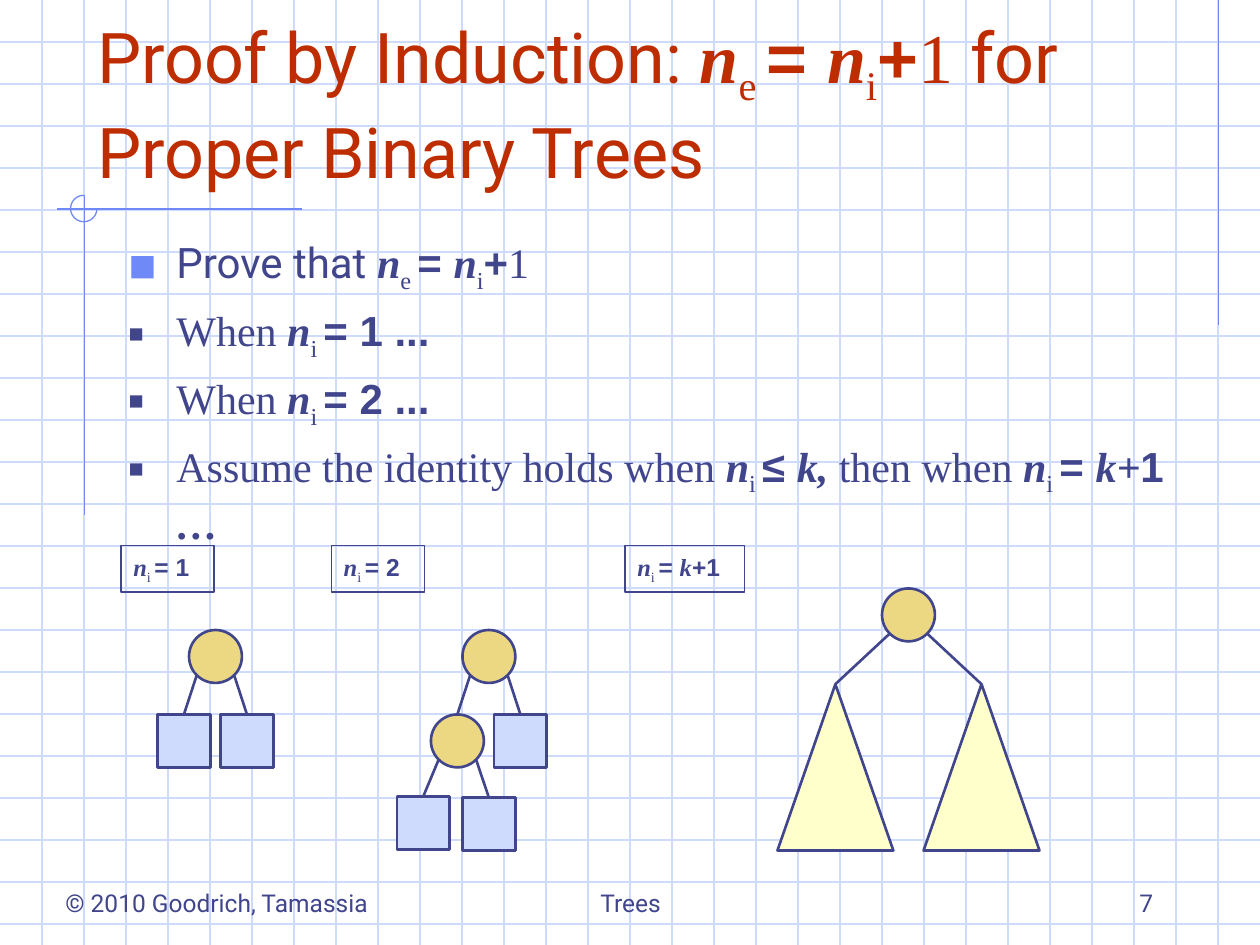
from dataclasses import dataclass
from enum import Enum
from math import sqrt

from lxml.etree import SubElement
from pptx import Presentation
from pptx.dml.color import RGBColor
from pptx.enum.shapes import MSO_CONNECTOR, MSO_SHAPE
from pptx.enum.text import MSO_ANCHOR, MSO_AUTO_SIZE, PP_ALIGN
from pptx.oxml.ns import qn
from pptx.util import Inches, Pt

COLORS = {
    "ink": "40458C", "title": "BE2D00", "grid": "CFDBFD", "accent": "6F89F7",
    "inner": "ECD882", "leaf": "CFDBFD", "subtree": "FFFFCC",
}
NODE = 0.42
SUBTREE_WIDTH, SUBTREE_HEIGHT = 0.92, 1.32


class Style(Enum):
    """Font name, bold, italic, baseline shift in percent."""
    SANS = ("Roboto", False, False, 0)
    SERIF = ("Times New Roman", False, False, 0)
    VARIABLE = ("Times New Roman", True, True, 0)
    INDEX = ("Times New Roman", False, False, -25)
    SYMBOL = ("Arial", True, False, 0)


@dataclass(frozen=True)
class Span:
    text: str
    style: Style


@dataclass(frozen=True)
class Node:
    kind: str
    left: float
    top: float
    children: tuple = ()


@dataclass(frozen=True)
class Label:
    left: float
    width: float
    spans: tuple


@dataclass(frozen=True)
class Footer:
    text: str
    left: float
    width: float
    align: PP_ALIGN


def color(name: str) -> RGBColor:
    return RGBColor.from_string(COLORS[name])


def sized(spans: str, *styles: Style) -> tuple:
    """Pair the parts of a text, split at |, with their styles."""
    return tuple(Span(text, style) for text, style in zip(spans.split("|"), styles))


SANS, SERIF, VAR, INDEX, SYMBOL = Style
IDENTITY = sized("n|e |= |n|i|+", VAR, INDEX, SYMBOL, VAR, INDEX, SYMBOL)
COUNT = sized("n|i ", VAR, INDEX)

TITLE = (Span("Proof by Induction: ", SANS), *IDENTITY,
         Span("1 ", SERIF), Span("for Proper Binary Trees", SANS))
BULLETS = [
    (Span("Prove that ", SANS), *IDENTITY, Span("1", SERIF)),
    (Span("When ", SERIF), *COUNT, Span("= 1 ...", SYMBOL)),
    (Span("When ", SERIF), *COUNT, Span("= 2 ...", SYMBOL)),
    (Span("Assume the identity holds when ", SERIF), *COUNT,
     *sized("≤ |k, |then when ", SYMBOL, VAR, SERIF), *COUNT,
     *sized("= |k+|1 |…", SYMBOL, VAR, SYMBOL, VAR)),
]
LABELS = [
    Label(0.96, 0.74, (*COUNT, Span("= 1", SYMBOL))),
    Label(2.63, 0.74, (*COUNT, Span("= 2", SYMBOL))),
    Label(4.96, 0.95, (*COUNT, *sized("= |k|+1", SYMBOL, VAR, SYMBOL))),
]
TREES = [
    Node("inner", 1.5, 5, (Node("leaf", 1.25, 5.67), Node("leaf", 1.75, 5.67))),
    Node("inner", 3.67, 5, (
        Node("inner", 3.42, 5.67, (Node("leaf", 3.15, 6.32), Node("leaf", 3.67, 6.33))),
        Node("leaf", 3.92, 5.67))),
    Node("inner", 7, 4.67, (Node("subtree", 6.17, 5.43), Node("subtree", 7.33, 5.43))),
]
FOOTERS = [
    Footer("© 2010 Goodrich, Tamassia", 0.42, 2.75, PP_ALIGN.LEFT),
    Footer("Trees", 3.42, 3.17, PP_ALIGN.CENTER),
    Footer("7", 7.17, 2.08, PP_ALIGN.RIGHT),
]
KINDS = {
    "inner": (MSO_SHAPE.OVAL, NODE, NODE),
    "leaf": (MSO_SHAPE.RECTANGLE, NODE, NODE),
    "subtree": (MSO_SHAPE.ISOSCELES_TRIANGLE, SUBTREE_WIDTH, SUBTREE_HEIGHT),
}


def add_spans(para, spans: tuple, size: float, ink: str = "ink") -> None:
    for span in spans:
        run = para.add_run()
        run.text = span.text
        font = run.font
        font.name, font.bold, font.italic, shift = span.style.value
        font.size = Pt(size)
        font.color.rgb = color(ink)
        if shift:
            run._r.get_or_add_rPr().set("baseline", str(shift * 1000))


def add_line(shapes, start: tuple, end: tuple, ink: str, width: float):
    line = shapes.add_connector(MSO_CONNECTOR.STRAIGHT, *map(Inches, start + end))
    line.line.color.rgb = color(ink)
    line.line.width = Pt(width)
    SubElement(line._element.spPr, qn("a:effectLst"))
    return line


def add_outline(shapes, preset, left: float, top: float, width: float, height: float,
                ink: str, weight: float):
    shape = shapes.add_shape(preset, *map(Inches, (left, top, width, height)))
    shape.shadow.inherit = False
    shape.fill.background()
    shape.line.color.rgb = color(ink)
    shape.line.width = Pt(weight)
    return shape


def place(box, left: float, top: float, width: float, height: float, anchor) -> None:
    box.left, box.top, box.width, box.height = map(Inches, (left, top, width, height))
    box.text_frame.word_wrap = True
    box.text_frame.auto_size = MSO_AUTO_SIZE.NONE
    box.text_frame.vertical_anchor = anchor


def add_background(page) -> None:
    shapes = page.shapes.add_group_shape().shapes
    for row in range(1, 23):
        add_line(shapes, (0, row / 3), (10, row / 3), "grid", 0.75)
    for column in range(1, 30):
        add_line(shapes, (column / 3, 0), (column / 3, 7.5), "grid", 0.75)
    for start, end in [((9.67, 0), (9.67, 2.58)), ((2.4, 1.66), (0.45, 1.66)),
                       ((0.67, 1.55), (0.67, 4.09))]:
        add_line(shapes, start, end, "accent", 0.75)
    arc = add_outline(shapes, MSO_SHAPE.ARC, 0.56, 1.55, 0.21, 0.21, "accent", 0.75)
    arc.adjustments[0], arc.adjustments[1] = 0, 162  # 0 to 270 degrees


def add_bullet(para, ink: str, percent: int) -> None:
    para.level = 1
    para.space_before = Pt(6)
    properties = para._p.get_or_add_pPr()
    properties.set("marL", str(Inches(0.38)))
    properties.set("indent", str(-Inches(0.38)))
    SubElement(SubElement(properties, qn("a:buClr")), qn("a:srgbClr"), val=COLORS[ink])
    SubElement(properties, qn("a:buSzPct"), val=str(percent * 1000))
    SubElement(properties, qn("a:buFont"), typeface="Arial")
    SubElement(properties, qn("a:buChar"), char="■")


def add_tree(page, node: Node):
    preset, width, height = KINDS[node.kind]
    shape = add_outline(page.shapes, preset, node.left, node.top, width, height, "ink", 1.5)
    shape.fill.solid()
    shape.fill.fore_color.rgb = color(node.kind)
    reach = NODE / 2 / sqrt(2)
    center, middle = node.left + NODE / 2, node.top + NODE / 2
    for side, child in zip((-1, 1), node.children):
        start = (center + side * reach, middle + reach)
        edge = add_line(page.shapes, start, (child.left, child.top), "ink", 1.5)
        edge.end_connect(add_tree(page, child), 0)
    return shape


def add_label(page, label: Label) -> None:
    box = add_outline(page.shapes, MSO_SHAPE.RECTANGLE, label.left, 4.33, label.width, 0.37,
                      "ink", 0.75)
    frame = box.text_frame
    frame.word_wrap = False
    frame.auto_size = MSO_AUTO_SIZE.SHAPE_TO_FIT_TEXT
    frame.vertical_anchor = MSO_ANCHOR.TOP
    frame.paragraphs[0].alignment = PP_ALIGN.LEFT
    add_spans(frame.paragraphs[0], label.spans, 14)


def main() -> None:
    deck = Presentation()
    deck.slide_width, deck.slide_height = Inches(10), Inches(7.5)
    page = deck.slides.add_slide(deck.slide_layouts[1])
    add_background(page)

    # Title and list, in front of the grid
    title, body = page.placeholders
    page.shapes.element.extend([title.element, body.element])
    place(title, 0.67, 0.33, 8.5, 1.25, MSO_ANCHOR.BOTTOM)
    title.text_frame.paragraphs[0].alignment = PP_ALIGN.LEFT
    add_spans(title.text_frame.paragraphs[0], TITLE, 40, "title")
    place(body, 0.92, 1.83, 8.5, 2.83, MSO_ANCHOR.TOP)
    for index, spans in enumerate(BULLETS):
        para = body.text_frame.add_paragraph() if index else body.text_frame.paragraphs[0]
        add_bullet(para, *(("ink", 60) if index else ("accent", 110)))
        add_spans(para, spans, 24)

    # Trees and their labels
    for tree in TREES:
        add_tree(page, tree)
    for label in LABELS:
        add_label(page, label)

    # Footer
    for footer in FOOTERS:
        box = page.shapes.add_textbox(0, 0, 0, 0)
        place(box, footer.left, 6.83, footer.width, 0.5, MSO_ANCHOR.BOTTOM)
        box.text_frame.paragraphs[0].alignment = footer.align
        add_spans(box.text_frame.paragraphs[0], (Span(footer.text, SANS),), 14)

    deck.save("out.pptx")


if __name__ == "__main__":
    main()
